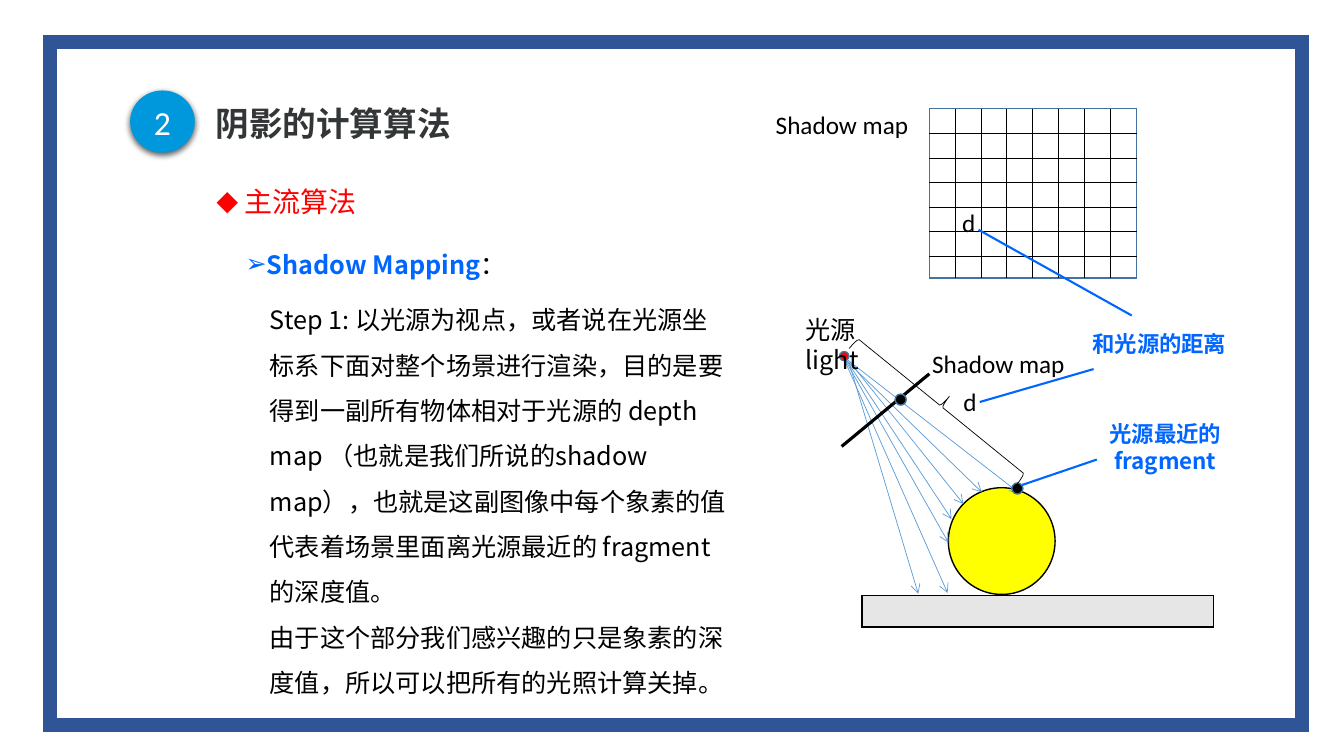
from dataclasses import dataclass
from typing import Optional

from lxml.etree import SubElement
from pptx import Presentation
from pptx.dml.color import RGBColor
from pptx.enum.shapes import MSO_CONNECTOR, MSO_SHAPE as Geo
from pptx.enum.text import MSO_ANCHOR as Anchor, PP_ALIGN as Align
from pptx.oxml.ns import qn
from pptx.slide import Slide
from pptx.text.text import TextFrame
from pptx.util import Cm, Pt

WHITE = RGBColor(0xFF, 0xFF, 0xFF)
BLACK = RGBColor(0, 0, 0)
NAVY = RGBColor(0x2F, 0x55, 0x97)
CHARCOAL = RGBColor(0x33, 0x36, 0x37)
SKY = RGBColor(0x00, 0x98, 0xDD)
RED = RGBColor(0xFF, 0, 0)
BLUE = RGBColor(0x00, 0x66, 0xFF)
GREY = RGBColor(0xE7, 0xE6, 0xE6)
YELLOW = RGBColor(0xFF, 0xFF, 0)
STEEL = RGBColor(0x43, 0x73, 0x9E)
RAY = RGBColor(0x5B, 0x9B, 0xD5)
CJK = "Noto Sans CJK SC"
LATIN = "Calibri"


@dataclass
class Run:
    text: str
    size: float = 18
    color: RGBColor = BLACK
    bold: bool = False
    font: str = CJK


@dataclass
class Para:
    runs: list[Run]
    spacing: Optional[float] = None
    align: Align = Align.LEFT
    bullet: str = ""
    hang: float = 0


@dataclass
class Box:
    x: float
    y: float
    w: float
    h: float
    paras: list[Para]
    wrap: bool = True
    anchor: Anchor = Anchor.TOP


@dataclass
class Figure:
    geo: Geo
    x: float
    y: float
    w: float
    h: float
    fill: Optional[RGBColor] = None
    line: Optional[RGBColor] = None
    weight: float = 1
    rotation: float = 0


@dataclass
class Line:
    x1: float
    y1: float
    x2: float
    y2: float
    color: RGBColor = BLACK
    weight: float = 0.5
    arrow: bool = False


def write(tf: TextFrame, paras: list[Para]) -> None:
    for i, para in enumerate(paras):
        p = tf.paragraphs[0] if i == 0 else tf.add_paragraph()
        p.alignment = para.align
        if para.spacing:
            p.line_spacing = Pt(para.spacing)
        if para.bullet:
            pPr = p._p.get_or_add_pPr()
            pPr.set("marL", str(Cm(para.hang)))
            pPr.set("indent", str(-Cm(para.hang)))
            SubElement(pPr, qn("a:buFont")).set("typeface", LATIN)
            SubElement(pPr, qn("a:buChar")).set("char", para.bullet)
        for run in para.runs:
            r = p.add_run()
            r.text = run.text
            r.font.size, r.font.bold, r.font.name = Pt(run.size), run.bold, run.font
            r.font.color.rgb = run.color
            SubElement(r._r.get_or_add_rPr(), qn("a:ea")).set("typeface", run.font)


def draw_box(s: Slide, box: Box) -> None:
    tf = s.shapes.add_textbox(Cm(box.x), Cm(box.y), Cm(box.w), Cm(box.h)).text_frame
    tf.word_wrap = box.wrap
    tf.vertical_anchor = box.anchor
    write(tf, box.paras)


def draw_figure(s: Slide, fig: Figure):
    sp = s.shapes.add_shape(fig.geo, Cm(fig.x), Cm(fig.y), Cm(fig.w), Cm(fig.h))
    sp.shadow.inherit = False
    sp.rotation = fig.rotation
    if fig.fill is None:
        sp.fill.background()
    else:
        sp.fill.solid()
        sp.fill.fore_color.rgb = fig.fill
    if fig.line is None:
        sp.line.fill.background()
    else:
        sp.line.color.rgb = fig.line
        sp.line.width = Pt(fig.weight)
        SubElement(sp.line._get_or_add_ln(), qn("a:miter")).set("lim", "800000")
    return sp


def draw_line(s: Slide, line: Line) -> None:
    cx = s.shapes.add_connector(
        MSO_CONNECTOR.STRAIGHT, Cm(line.x1), Cm(line.y1), Cm(line.x2), Cm(line.y2))
    cx.line.color.rgb = line.color
    cx.line.width = Pt(line.weight)
    if line.arrow:
        SubElement(cx.line._get_or_add_ln(), qn("a:tailEnd")).set("type", "arrow")
    SubElement(cx._element.spPr, qn("a:effectLst"))


def draw_badge(s: Slide) -> None:
    sp = draw_figure(s, Figure(Geo.OVAL, 3.28, 2.28, 1.63, 1.57, SKY))
    effects = sp._element.spPr.find(qn("a:effectLst"))
    shadow = SubElement(effects, qn("a:outerShdw"), blurRad=str(Pt(4.5)),
                        dist=str(Pt(1.5)), dir="5400000", algn="t", rotWithShape="0")
    color = SubElement(shadow, qn("a:srgbClr"), val="000000")
    SubElement(color, qn("a:alpha"), val="63000")
    sp.text_frame.vertical_anchor = Anchor.MIDDLE
    write(sp.text_frame, [Para([Run("2", 24, WHITE, font=LATIN)], align=Align.CENTER)])


def label(x: float, y: float, w: float, text: str) -> Box:
    return Box(x, y, w, 1.02, [Para([Run(text, font=LATIN)])], wrap=False)


def note(text: str, align: Align = Align.LEFT) -> Para:
    return Para([Run(text, 16, BLUE, True)], 19.2, align)


def dot(x: float, y: float) -> Figure:
    return Figure(Geo.OVAL, x, y, 0.28, 0.28, BLACK, STEEL)


FRAME = Figure(Geo.RECTANGLE, 1.27, 1.07, 31.55, 17.2, line=NAVY, weight=10)
STEP = ("Step 1: 以光源为视点，或者说在光源坐标系下面对整个场景进行渲染，目的是要得到一副"
        "所有物体相对于光源的 depth map （也就是我们所说的shadow map），也就是这副图像中"
        "每个象素的值代表着场景里面离光源最近的 fragment 的深度值。")
REASON = "由于这个部分我们感兴趣的只是象素的深度值，所以可以把所有的光照计算关掉。"
TEXTS = [
    Box(5.18, 2.32, 21.21, 1.55, [Para([Run("阴影的计算算法", 24, CHARCOAL, True)])],
        anchor=Anchor.MIDDLE),
    Box(6.55, 7.17, 12.01, 11, [Para([Run(t)], 32.4) for t in (STEP, REASON)]),
    Box(5.21, 4.09, 25.12, 1.9,
        [Para([Run("主流算法", 20, RED)], 36, bullet="◆", hang=0.71)]),
    Box(5.94, 5.77, 22.96, 1.27,
        [Para([Run("Shadow Mapping", 18, BLUE, True), Run("：")], 32.4,
              bullet="➢", hang=0.5)]),
]
RAYS = [
    (21.36, 9.07, 25.68, 12.42), (21.39, 9.09, 24.28, 12.7),
    (21.21, 8.97, 24.74, 12.4), (21.29, 9.02, 23.98, 13.08),
    (21.31, 9.09, 23.9, 13.67), (21.29, 9.09, 23.88, 14.94),
    (21.39, 9.12, 23.14, 14.96),
]
GRID_X, GRID_Y, GRID_W, GRID_H = 23.42, 2.74, 5.23, 4.27
CELL_W, CELL_H = 0.65, 0.62
SCENE = [
    Figure(Geo.RECTANGLE, 21.72, 15.01, 8.86, 0.79, GREY, BLACK),
    Figure(Geo.OVAL, 23.9, 12.29, 2.69, 2.69, YELLOW, BLACK),
    Figure(Geo.OVAL, 21.16, 8.86, 0.23, 0.23, RED, STEEL),
    *[Line(*ray, RAY, arrow=True) for ray in RAYS],
    Line(23.42, 9.42, 21.21, 11.25, weight=2.25),
    Box(20.05, 7.79, 3, 1.02, [Para([Run("光源light")], 21.6)]),
    label(23.24, 8.66, 3.89, "Shadow map"),
    dot(22.56, 9.93),
    Figure(Geo.RECTANGLE, GRID_X, GRID_Y, GRID_W, GRID_H, WHITE, STEEL),
    *[Line(GRID_X + i * CELL_W, GRID_Y, GRID_X + i * CELL_W, GRID_Y + GRID_H)
      for i in range(1, 8)],
    *[Line(GRID_X, GRID_Y + i * CELL_H, GRID_X + GRID_W, GRID_Y + i * CELL_H)
      for i in range(1, 7)],
    label(19.3, 2.64, 3.89, "Shadow map"),
    dot(25.5, 12.17),
    Figure(Geo.RIGHT_BRACE, 23.39, 7.52, 0.66, 5.44, line=BLACK, weight=0.5,
           rotation=309.1),
    label(24.03, 9.6, 0.86, "d"),
    label(24, 5.11, 0.86, "d"),
    Box(27.71, 10.46, 3.53, 1.63,
        [note("光源最近的"), note("fragment", Align.CENTER)], wrap=False),
    Line(27.64, 11.58, 25.76, 12.22, BLUE, 1.5),
    Box(27.28, 8.2, 3.96, 0.94, [note("和光源的距离")], wrap=False),
    Line(28.52, 7.95, 24.66, 5.79, BLUE, 1.5),
    Line(27.56, 9.3, 24.69, 10.13, BLUE, 1.5),
]
DRAW = {Box: draw_box, Figure: draw_figure, Line: draw_line}


def main() -> None:
    prs = Presentation()
    prs.slide_width, prs.slide_height = Cm(33.87), Cm(19.05)
    s = prs.slides.add_slide(prs.slide_layouts[6])
    for item in [FRAME, *TEXTS]:
        DRAW[type(item)](s, item)
    draw_badge(s)
    for item in SCENE:
        DRAW[type(item)](s, item)
    prs.save("out.pptx")


if __name__ == "__main__":
    main()
